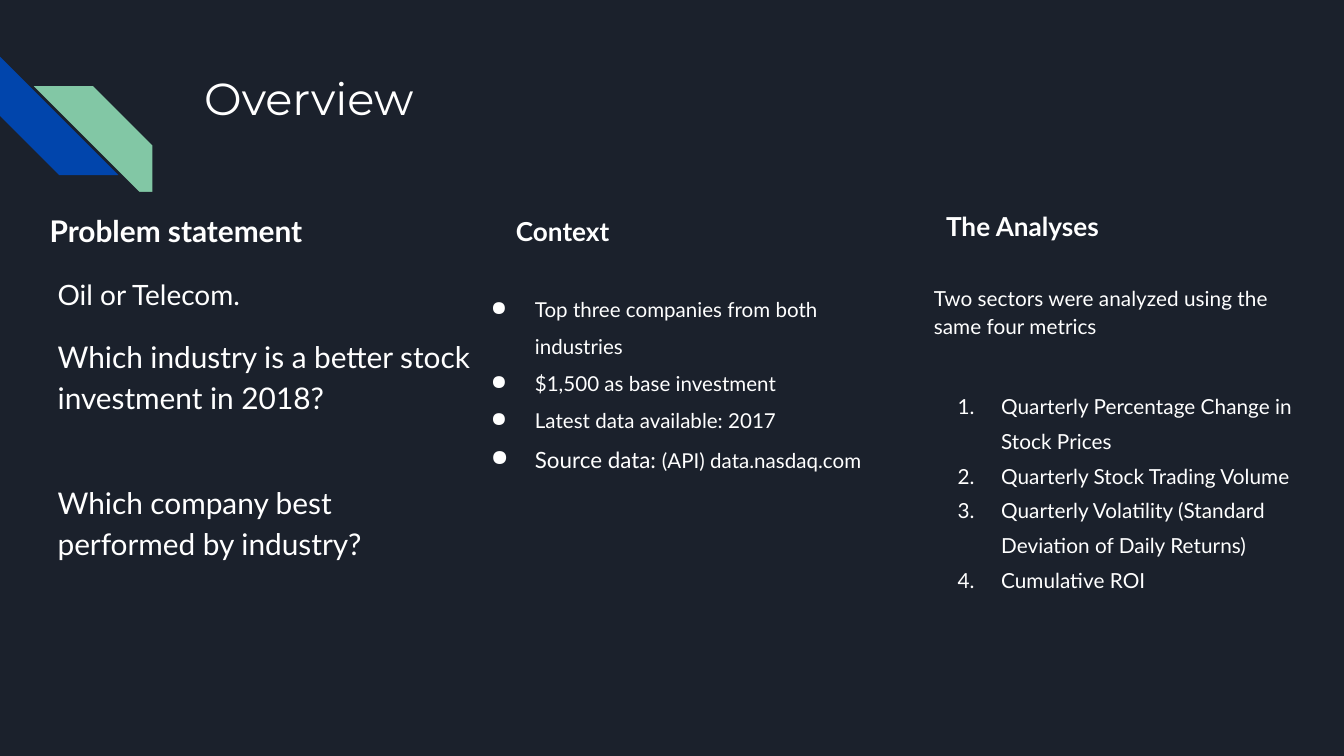
from lxml import etree
from pptx import Presentation
from pptx.dml.color import RGBColor
from pptx.enum.shapes import MSO_SHAPE
from pptx.oxml.ns import qn
from pptx.util import Cm, Pt

STRIPE = MSO_SHAPE.DIAGONAL_STRIPE
RECTANGLE = MSO_SHAPE.RECTANGLE

COLORS = {"background": "1B212C", "blue": "0145AC", "green": "82C7A5", "text": "FFFFFF"}
BULLET = ("buChar", {"char": "●"})
NUMBER = ("buAutoNum", {"type": "arabicPeriod"})

presentation = Presentation()
presentation.slide_width = Cm(25.4)
presentation.slide_height = Cm(14.29)
slide = presentation.slides.add_slide(presentation.slide_layouts[6])
slide.background.fill.solid()
slide.background.fill.fore_color.rgb = RGBColor.from_string(COLORS["background"])


def add_marker(paragraph, marker, indent):
    """Give a paragraph a white bullet or number with a hanging indent."""
    properties = paragraph._p.get_or_add_pPr()
    properties.set("marL", str(Cm(1.27)))
    properties.set("indent", str(-Cm(indent)))
    color = etree.SubElement(properties, qn("a:buClr"))
    etree.SubElement(color, qn("a:srgbClr"), val=COLORS["text"])
    tag, attributes = marker
    etree.SubElement(properties, qn("a:" + tag), attributes)


def add_text(position, paragraphs, font_name="Lato", bold=False, left_inset=0.25):
    """Add a text box from (runs, paragraph format, marker, indent) rows."""
    box = slide.shapes.add_textbox(*map(Cm, position))
    frame = box.text_frame
    frame_format = {"word_wrap": True, "margin_left": Cm(left_inset), "margin_right": Cm(0.25),
                    "margin_top": Cm(0.25), "margin_bottom": Cm(0.25)}
    for name, value in frame_format.items():
        setattr(frame, name, value)
    for index, (runs, paragraph_format, marker, indent) in enumerate(paragraphs):
        paragraph = frame.add_paragraph() if index else frame.paragraphs[0]
        if marker:
            add_marker(paragraph, marker, indent)
        for name, value in paragraph_format.items():
            setattr(paragraph, name, value)
        for text, size in runs:
            run = paragraph.add_run()
            run.text = text
            for name, value in {"name": font_name, "size": Pt(size), "bold": bold}.items():
                setattr(run.font, name, value)
            run.font.color.rgb = RGBColor.from_string(COLORS["text"])


# Corner stripes, and the panel that trims the green one
decorations = [
    (STRIPE, (0, 1.07, 2.24, 2.24), "blue", 270, False),
    (STRIPE, (0.64, 1.63, 2.24, 2.24), "green", 0, True),
    (RECTANGLE, (1.19, 3.63, 7.32, 1.3), "background", 0, False),
]
for kind, position, color, rotation, flipped in decorations:
    shape = slide.shapes.add_shape(kind, *map(Cm, position))
    shape.shadow.inherit = False
    shape.fill.solid()
    shape.fill.fore_color.rgb = RGBColor.from_string(COLORS[color])
    shape.line.fill.background()
    shape.rotation = rotation
    if flipped:
        shape._element.spPr.find(qn("a:xfrm")).set("flipH", "1")

# Title
add_text((3.61, 1.09, 19.56, 2.54), [([("Overview", 24)], {}, None, 0)], "Montserrat")

# Column headings
headings = [
    ("Problem statement", 16, 1.05, (0.69, 3.73, 8.41, 1.27)),
    ("Context", 14, 1.15, (9.5, 3.73, 6.93, 1.27)),
    ("The Analyses", 14, 1.15, (17.63, 3.63, 6.93, 1.27)),
]
for text, size, spacing, position in headings:
    add_text(position, [([(text, size)], {"line_spacing": spacing}, None, 0)], bold=True)

# Problem statement
questions = [
    ("Oil or Telecom.", 15, 0),
    ("Which industry is a better stock investment in 2018?", 16, 12),
    ("Which company best performed by industry?", 16, 34),
]
add_text((0.84, 4.9, 8.36, 7.77), [
    ([(text, size)], {"line_spacing": 1.15, "space_before": Pt(before)}, None, 0)
    for text, size, before in questions
])

# Context
facts = [
    [("Top three companies from both industries", 11)],
    [("$1,500 as base investment", 11)],
    [("Latest data available: 2017", 11)],
    [("Source data: ", 12), ("(API) data.nasdaq.com", 11)],
]
add_text((8.84, 5.13, 7.95, 7.77),
         [(runs, {"line_spacing": 1.5}, BULLET, 0.83) for runs in facts], left_inset=0)

# The analyses
metrics = [
    "Quarterly Percentage Change in Stock Prices",
    "Quarterly Stock Trading Volume",
    "Quarterly Volatility (Standard Deviation of Daily Returns)",
    "Cumulative ROI",
]
analyses = [([("Two sectors were analyzed using the same four metrics", 11.1)],
             {"line_spacing": 1.15}, None, 0)]
for index, metric in enumerate(metrics):
    before = 0 if index else 24
    analyses.append(([(metric, 11.1)], {"line_spacing": 1.4, "space_before": Pt(before)},
                     NUMBER, 0.82))
add_text((17.65, 5.08, 7.02, 7.21), analyses, left_inset=0)

presentation.save("out.pptx")
